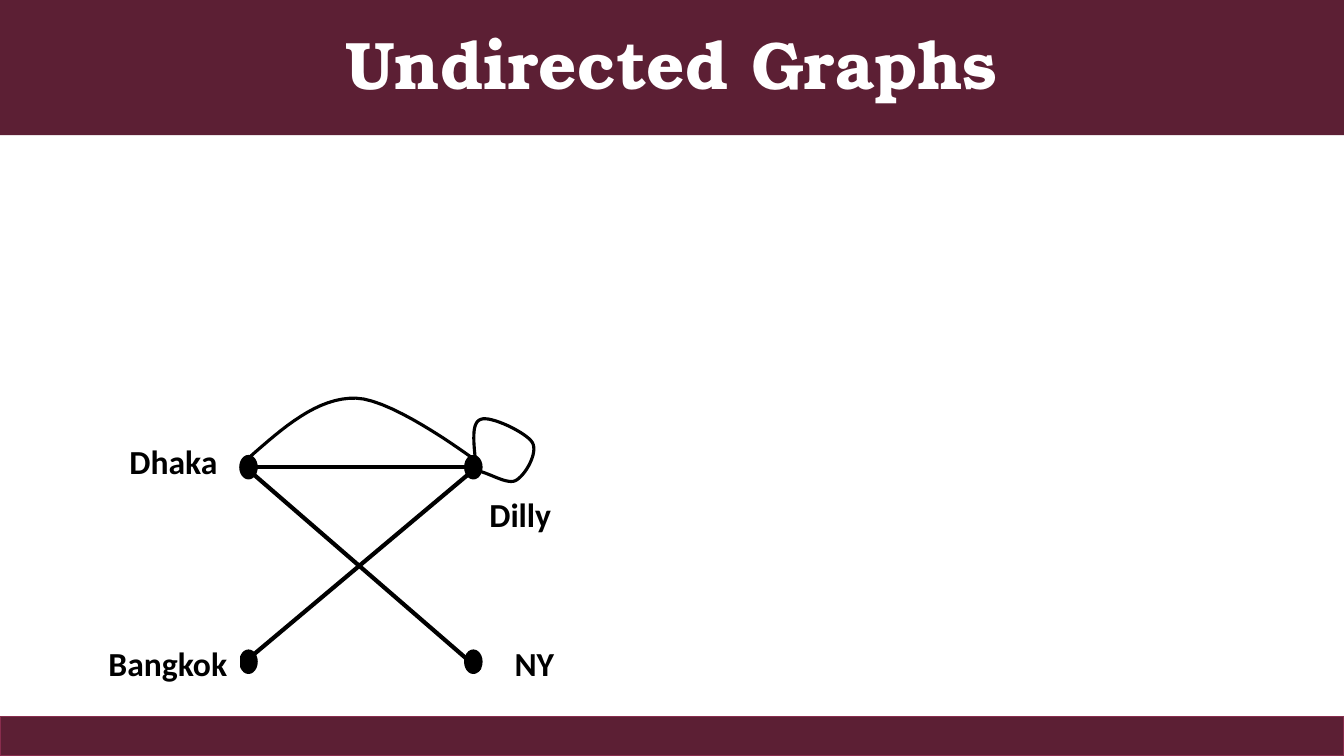
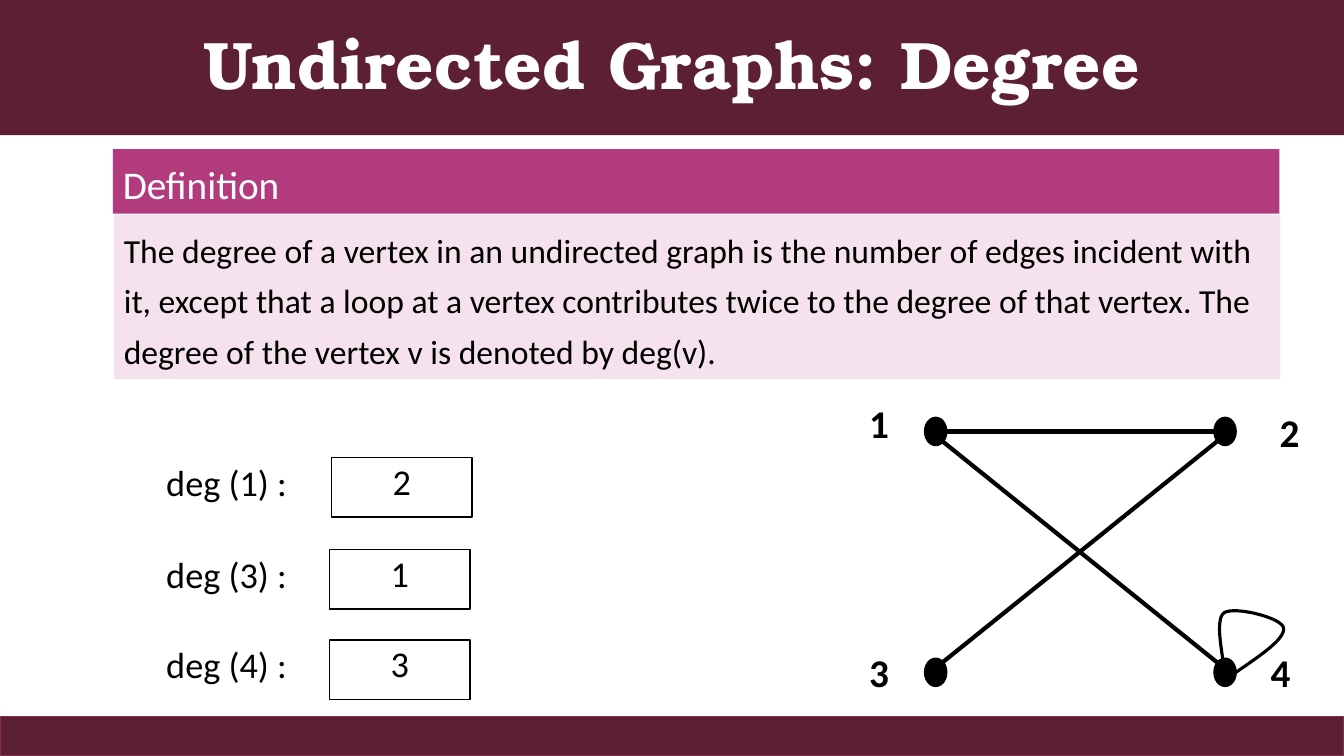
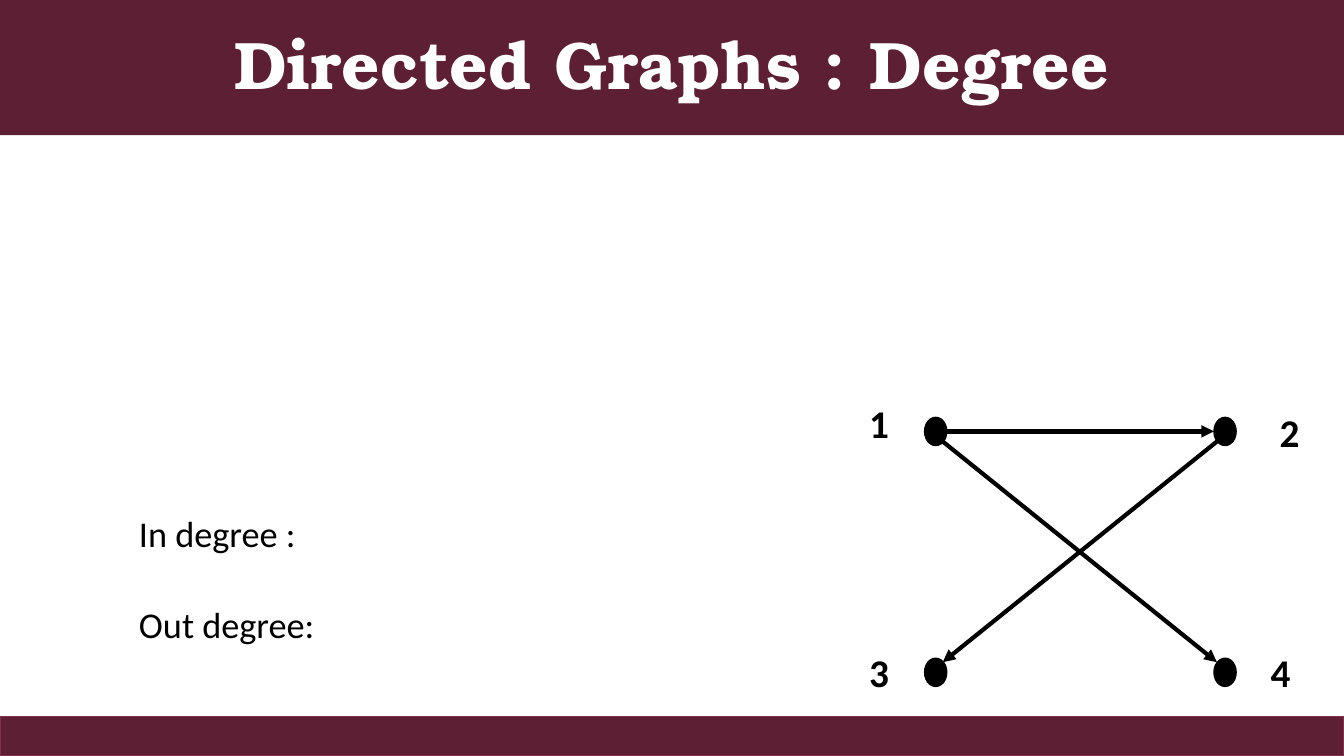
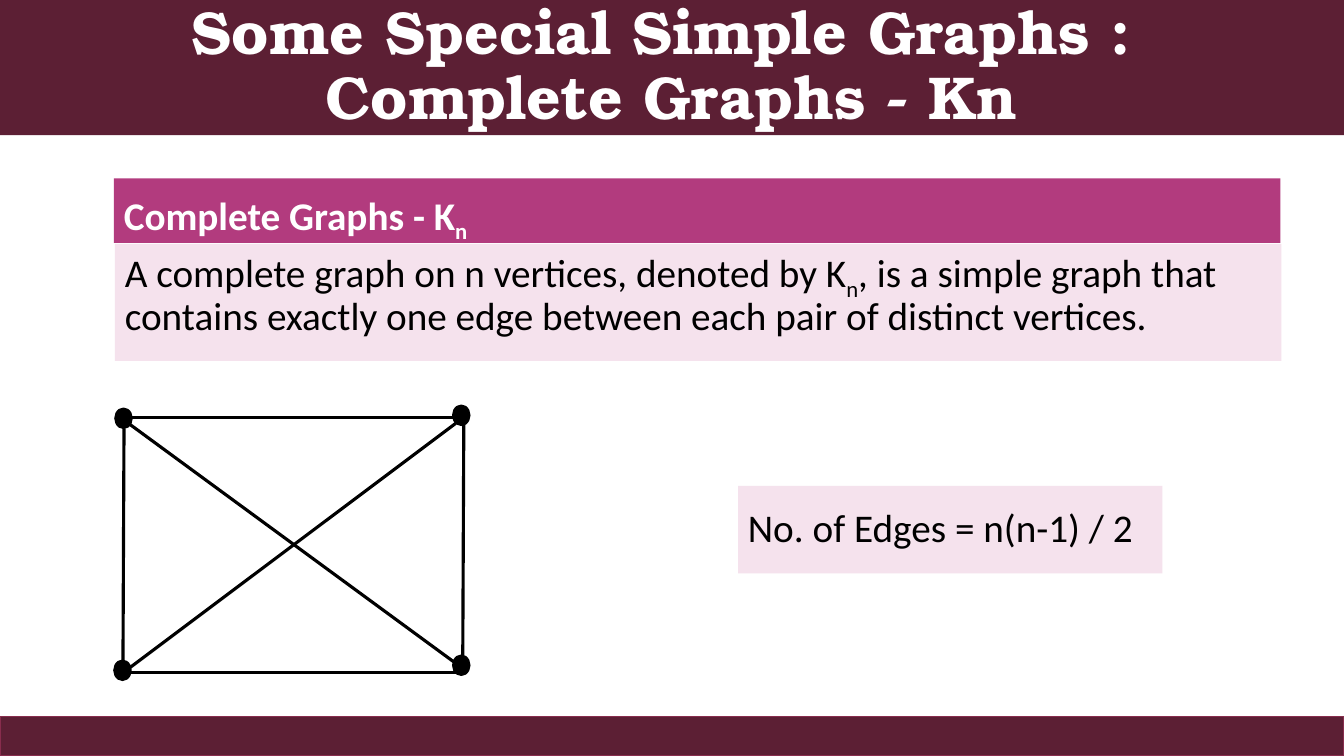
import pptx
import pptx.dml.color
import pptx.enum.shapes
import pptx.enum.text
import pptx.oxml.ns
import pptx.util
from dataclasses import dataclass, replace
from typing import Any, NamedTuple, Optional
from lxml import etree

Inches = pptx.util.Inches
Kind = pptx.enum.shapes.MSO_SHAPE
Align = pptx.enum.text.PP_ALIGN
Anchor = pptx.enum.text.MSO_ANCHOR

PLUM = "5C1F34"
PLUM_EDGE = "882D4D"
MAGENTA = "B23B7E"
BLUSH = "F5E2ED"
BLACK = "000000"
WHITE = "FFFFFF"
WIDTH, HEIGHT = 13.33, 7.5
CURVE_STEPS = 16


class Point(NamedTuple):
    x: float
    y: float


class Area(NamedTuple):
    left: float
    top: float
    width: float
    height: float


class Edge(NamedTuple):
    start: Point
    end: Point


class Span(NamedTuple):
    text: str
    subscript: bool = False


class Label(NamedTuple):
    text: str
    area: Area


@dataclass(frozen=True)
class TextStyle:
    size: float
    color: str = BLACK
    bold: bool = False
    align: Any = Align.LEFT
    anchor: Any = Anchor.TOP
    spacing: float = 1.0
    font: str = "Calibri"
    inset: float = 0.1


TITLE = TextStyle(48, WHITE, True, Align.CENTER, Anchor.MIDDLE, 0.9, "TeX Gyre Bonum")
CITY = TextStyle(24, bold=True, align=Align.CENTER, anchor=Anchor.MIDDLE, inset=0)
NUMBER = replace(CITY, size=28)
DEGREE = TextStyle(25.9, spacing=0.94)
ANSWER = replace(DEGREE, align=Align.CENTER)
HEADING = TextStyle(28, WHITE, spacing=1.14)
STATEMENT = TextStyle(28, spacing=0.9)


def rgb(color: str) -> Any:
    return pptx.dml.color.RGBColor.from_string(color)


def write(shape: Any, lines: list[list[Span]], style: TextStyle) -> None:
    frame = shape.text_frame
    frame.word_wrap = True
    frame.vertical_anchor = style.anchor
    frame.margin_left = frame.margin_right = Inches(style.inset)
    para = frame.paragraphs[0]
    para.alignment = style.align
    para.line_spacing = style.spacing
    for index, line in enumerate(lines):
        if index:
            para.add_line_break()
        for piece in line:
            span = para.add_run()
            span.text = piece.text
            span.font.name = style.font
            span.font.size = pptx.util.Pt(style.size)
            span.font.bold = style.bold
            span.font.color.rgb = rgb(style.color)
            if piece.subscript:
                span._r.get_or_add_rPr().set("baseline", "-25000")


def add_box(page: Any, area: Area, fill: str, kind: Any = Kind.RECTANGLE,
            outline: Optional[str] = None) -> Any:
    box = page.shapes.add_shape(kind, *map(Inches, area))
    box.shadow.inherit = False
    box.fill.solid()
    box.fill.fore_color.rgb = rgb(fill)
    if outline:
        box.line.color.rgb = rgb(outline)
        box.line.width = pptx.util.Pt(1)
    else:
        box.line.fill.background()
    return box


def add_label(page: Any, label: Label, style: TextStyle, kind: Any = Kind.RECTANGLE,
              fill: str = WHITE, outline: Optional[str] = None) -> None:
    write(add_box(page, label.area, fill, kind, outline), [[Span(label.text)]], style)


def add_node(page: Any, area: Area, kind: Any = Kind.FLOWCHART_CONNECTOR) -> None:
    add_box(page, area, BLACK, kind, BLACK)


def add_edge(page: Any, edge: Edge, weight: float = 3, directed: bool = False) -> None:
    line = page.shapes.add_connector(
        pptx.enum.shapes.MSO_CONNECTOR.STRAIGHT, *map(Inches, (*edge.start, *edge.end)))
    line.line.color.rgb = rgb(BLACK)
    line.line.width = pptx.util.Pt(weight)
    if directed:
        tail = etree.SubElement(line.line._get_or_add_ln(), pptx.oxml.ns.qn("a:tailEnd"))
        tail.set("type", "triangle")
    etree.SubElement(line._element.spPr, pptx.oxml.ns.qn("a:effectLst"))


def bezier(a: Point, b: Point, c: Point, d: Point, t: float) -> Point:
    u = 1 - t
    weights = (u ** 3, 3 * u * u * t, 3 * u * t * t, t ** 3)
    return Point(*(sum(w * v for w, v in zip(weights, axis)) for axis in zip(a, b, c, d)))


def add_curve(page: Any, points: list[Point]) -> None:
    samples = [bezier(*points[first:first + 4], step / CURVE_STEPS)
               for first in range(0, len(points) - 1, 3)
               for step in range(1, CURVE_STEPS + 1)]
    builder = page.shapes.build_freeform(Inches(points[0].x), Inches(points[0].y))
    builder.add_line_segments([(Inches(p.x), Inches(p.y)) for p in samples], close=False)
    curve = builder.convert_to_shape()
    curve.shadow.inherit = False
    curve.fill.background()
    curve.line.color.rgb = rgb(BLACK)
    curve.line.width = pptx.util.Pt(2.25)


def add_card(page: Any, left: float, top: float, heading: list[Span], heading_style: TextStyle,
             body: list[Span], body_style: TextStyle, body_height: float) -> None:
    header = add_box(page, Area(left, top, 11.57, 0.64), MAGENTA)
    write(header, [heading], heading_style)
    panel = add_box(page, Area(left + 0.01, top + 0.65, 11.57, body_height), BLUSH)
    write(panel, [body], body_style)


def add_page(deck: Any, *title: str, size: float = TITLE.size) -> Any:
    page = deck.slides.add_slide(deck.slide_layouts[6])
    band = add_box(page, Area(0, 0, WIDTH, 1.34), PLUM)
    write(band, [[Span(line)] for line in title], replace(TITLE, size=size))
    add_box(page, Area(0, 7.11, WIDTH, 0.39), PLUM, outline=PLUM_EDGE)
    return page


def add_numbered_graph(page: Any, directed: bool) -> None:
    for left in (9.17, 12.04):
        for top in (4.14, 6.53):
            add_node(page, Area(left, top, 0.22, 0.28))
    for text, left, top in (("1", 8.5, 3.98), ("2", 12.57, 4.06),
                            ("3", 8.5, 6.45), ("4", 12.48, 6.45)):
        add_label(page, Label(text, Area(left, top, 0.44, 0.44)), NUMBER)
    for edge in (Edge(Point(9.39, 4.28), Point(12.04, 4.28)),
                 Edge(Point(12.07, 4.38), Point(9.35, 6.57)),
                 Edge(Point(9.35, 4.38), Point(12.07, 6.57))):
        add_edge(page, edge, directed=directed)


def add_city_page(deck: Any) -> None:
    page = add_page(deck, "Undirected Graphs")
    for left in (2.38, 4.61):
        for top in (4.52, 6.45):
            add_node(page, Area(left, top, 0.17, 0.23))
    for edge in (Edge(Point(2.55, 4.63), Point(4.61, 4.63)),
                 Edge(Point(2.52, 6.49), Point(4.64, 4.71)),
                 Edge(Point(2.52, 4.71), Point(4.76, 6.65))):
        add_edge(page, edge)
    for city in (Label("Dhaka", Area(1.15, 4.36, 1.14, 0.42)),
                 Label("Dilly", Area(4.72, 4.89, 0.88, 0.42)),
                 Label("Bangkok", Area(0.95, 6.37, 1.43, 0.42)),
                 Label("NY", Area(4.84, 6.37, 0.92, 0.42))):
        add_label(page, city, CITY, Kind.ROUNDED_RECTANGLE)
    add_curve(page, [Point(2.47, 4.54), Point(2.81, 4.24), Point(3.15, 3.94), Point(3.53, 3.95),
                     Point(3.92, 3.96), Point(4.76, 4.6), Point(4.76, 4.6)])
    add_curve(page, [Point(4.72, 4.61), Point(4.7, 4.4), Point(4.67, 4.19), Point(4.77, 4.16),
                     Point(4.86, 4.12), Point(5.22, 4.29), Point(5.28, 4.39),
                     Point(5.34, 4.49), Point(5.21, 4.72), Point(5.11, 4.77),
                     Point(5.01, 4.81), Point(4.81, 4.66), Point(4.67, 4.66)])


def add_degree_page(deck: Any) -> None:
    page = add_page(deck, "Undirected Graphs: Degree")
    add_numbered_graph(page, directed=False)
    add_card(page, 1.12, 1.48, [Span("Definition")], HEADING,
             [Span("The degree of a vertex in an undirected graph is the number of edges "
                   "incident with it, except that a loop at a vertex contributes twice to the "
                   "degree of that vertex. The degree of the vertex v is denoted by deg(v).")],
             TextStyle(24, spacing=1.25), 1.63)
    for vertex, degree, left, top in (("1", "2", 3.29, 4.55), ("3", "1", 3.27, 5.46),
                                      ("4", "3", 3.27, 6.36)):
        add_label(page, Label(f"deg ({vertex}) :", Area(1.55, top, 1.42, 0.59)), DEGREE)
        add_label(page, Label(degree, Area(left, top - 0.01, 1.39, 0.59)), ANSWER, outline=BLACK)
    add_curve(page, [Point(12.23, 6.69), Point(12.49, 6.51), Point(12.75, 6.34),
                     Point(12.73, 6.23), Point(12.72, 6.13), Point(12.24, 6.01),
                     Point(12.14, 6.08), Point(12.04, 6.15), Point(12.14, 6.55),
                     Point(12.14, 6.64)])


def add_directed_page(deck: Any) -> None:
    page = add_page(deck, "Directed Graphs : Degree")
    add_numbered_graph(page, directed=True)
    for text, top in (("In degree :", 5.06), ("Out degree:", 5.96)):
        add_label(page, Label(text, Area(1.28, top, 2.41, 0.59)), DEGREE)


def add_complete_page(deck: Any) -> None:
    page = add_page(deck, "Some Special Simple Graphs : ", "Complete Graphs - Kn", size=43.2)
    add_card(page, 1.13, 1.77, [Span("Complete Graphs - K"), Span("n", True)],
             replace(HEADING, bold=True),
             [Span("A complete graph on n vertices, denoted by K"), Span("n", True),
              Span(", is a simple graph that contains exactly one edge between each pair "
                   "of distinct vertices.")], STATEMENT, 1.16)
    for left, top in ((1.14, 4.05), (4.49, 4.02), (4.49, 6.5), (1.13, 6.55)):
        add_node(page, Area(left, top, 0.17, 0.2), Kind.OVAL)
    for edge in (Edge(Point(1.21, 4.14), Point(4.54, 4.14)),
                 Edge(Point(1.22, 4.16), Point(4.52, 6.58)),
                 Edge(Point(1.23, 4.25), Point(1.22, 6.55)),
                 Edge(Point(4.6, 4.21), Point(4.59, 6.51)),
                 Edge(Point(1.16, 6.72), Point(4.52, 4.2)),
                 Edge(Point(1.22, 6.67), Point(4.55, 6.67))):
        add_edge(page, edge, weight=2.25)
    add_label(page, Label("No. of Edges = n(n-1) / 2", Area(7.32, 4.82, 4.21, 0.87)),
              replace(STATEMENT, anchor=Anchor.MIDDLE), fill=BLUSH)


def main() -> None:
    deck = pptx.Presentation()
    deck.slide_width, deck.slide_height = Inches(WIDTH), Inches(HEIGHT)
    add_city_page(deck)
    add_degree_page(deck)
    add_directed_page(deck)
    add_complete_page(deck)
    deck.save("out.pptx")


if __name__ == "__main__":
    main()
